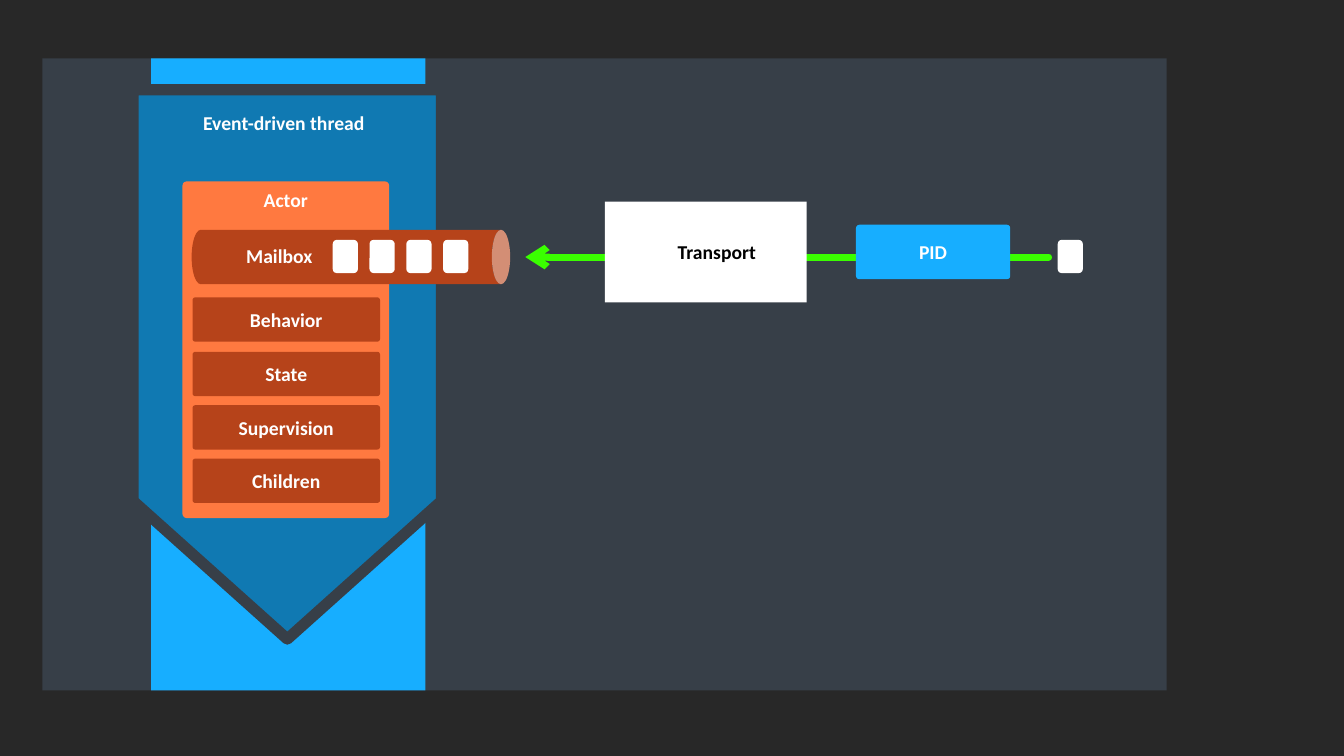
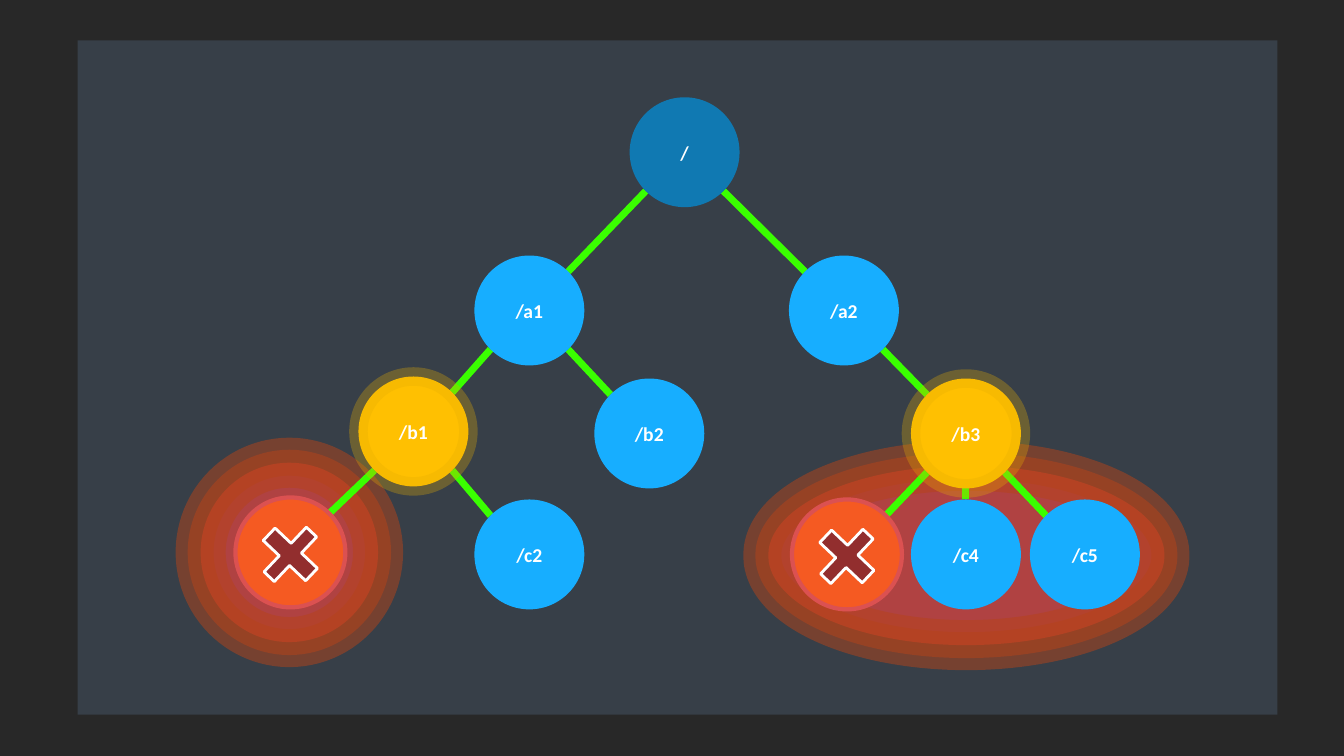
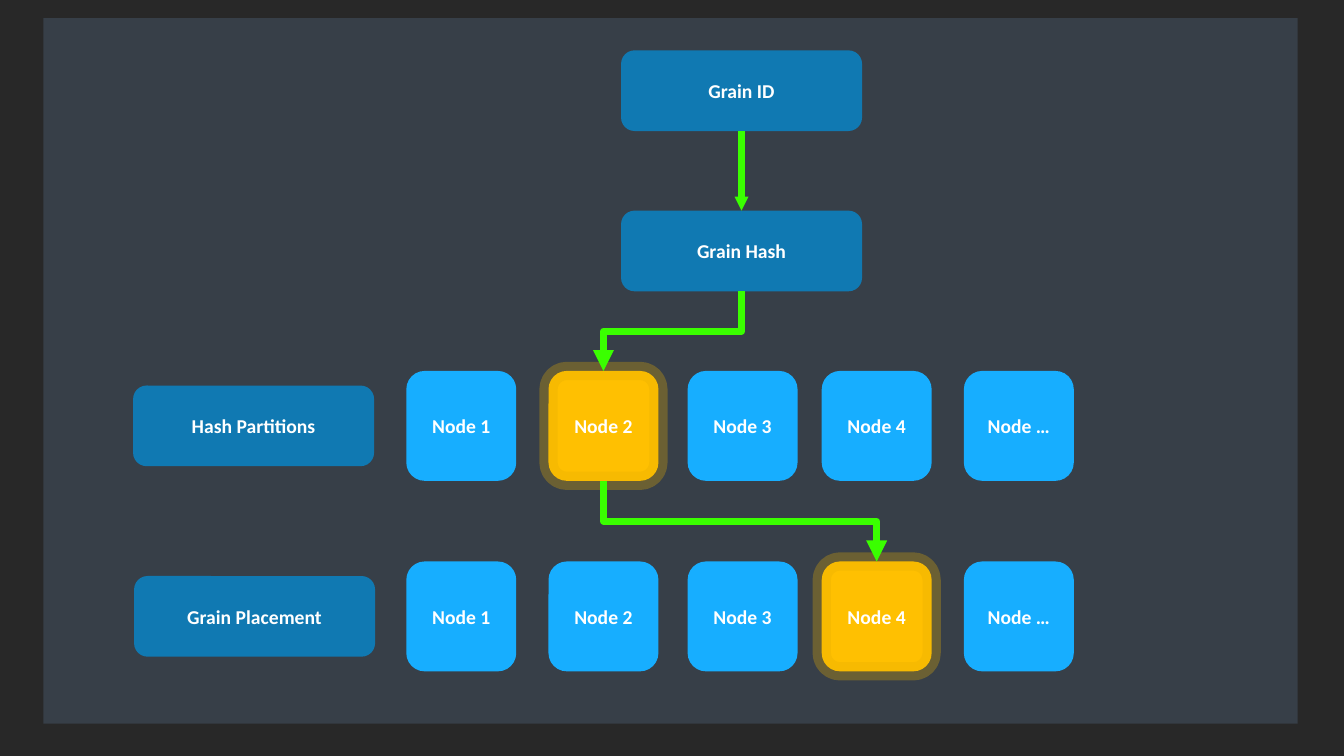
import pptx
import pptx.util
import pptx.dml.color
import pptx.enum.shapes
import pptx.enum.text
import pptx.oxml
import pptx.oxml.ns

KIND = pptx.enum.shapes.MSO_SHAPE
LINK = pptx.enum.shapes.MSO_CONNECTOR
SIDE = pptx.enum.text.PP_ALIGN
ANCHOR = pptx.enum.text.MSO_ANCHOR

# Shared look
FONT, SIZE = "Calibri", 14
BACK, PANEL = "282828", "373F48"
SKY, BLUE, GREEN, WHITE, BLACK = "17AEFF", "1079B2", "3AFF00", "FFFFFF", "000000"
CORAL, RUST, GOLD, AMBER = "FF7940", "B6431A", "FFC001", "E5AD03"
WINE, FIRE, ROSE, BLOOD = "B04242", "F55A22", "DB5151", "922E2E"

# Actor slide: label, top
PARTS = [("Behavior", 2.95), ("State", 3.49), ("Supervision", 4.02), ("Children", 4.55)]
MAIL_X, MAIL_STEP, MAIL_COUNT = 3.3, 0.365, 4
CLOUD = [
    (7.2, 1.89), (7.4, 1.89, 7.57, 2.06, 7.57, 2.26), (7.56, 2.29), (7.58, 2.28),
    (7.61, 2.27, 7.65, 2.26, 7.68, 2.26), (7.84, 2.26, 7.96, 2.39, 7.96, 2.54),
    (7.96, 2.69, 7.84, 2.81, 7.68, 2.81), (6.53, 2.81),
    (6.41, 2.81, 6.31, 2.72, 6.31, 2.6), (6.31, 2.49, 6.38, 2.41, 6.48, 2.39),
    (6.51, 2.38), (6.53, 2.29), (6.57, 2.21, 6.65, 2.14, 6.75, 2.14),
    (6.77, 2.14, 6.78, 2.15, 6.8, 2.15), (6.85, 2.16), (6.86, 2.12),
    (6.92, 1.99, 7.05, 1.89, 7.2, 1.89),
]

# Tree slide: centre of each node, its state, and its parent
BALL, DIAG = 1.09, 0.385
TREE = {
    "/": (6.79, 1.51, "root", None),
    "/a1": (5.25, 3.08, "live", "/"), "/a2": (8.37, 3.08, "live", "/"),
    "/b1": (4.1, 4.28, "warn", "/a1"), "/b2": (6.44, 4.3, "live", "/a1"),
    "/b3": (9.58, 4.3, "warn", "/a2"),
    "/c1": (2.88, 5.48, "fail", "/b1"), "/c2": (5.25, 5.5, "live", "/b1"),
    "/c3": (8.4, 5.5, "fail", "/b3"), "/c4": (9.58, 5.5, "live", "/b3"),
    "/c5": (10.76, 5.5, "live", "/b3"),
}
BLAST = [(7.62, 4.62, 3.93, 1.78), (1.99, 4.59, 1.76, 1.78)]
FILLS = {"root": BLUE, "live": SKY, "warn": GOLD}

# Grain slide
NODES = ["Node 1", "Node 2", "Node 3", "Node 4", "Node …"]
COLS = [4.03, 5.44, 6.82, 8.15, 9.56]
ROWS = [("Hash Partitions", 1.32, 3.68, "Node 2"),
        ("Grain Placement", 1.33, 5.57, "Node 4")]
STEPS = [("Grain ID", 0.5), ("Grain Hash", 2.09)]
STEP_X, STEP_W, STEP_H, TILE = 6.16, 2.39, 0.8, 1.09

inch, point = pptx.util.Inches, pptx.util.Pt


def tint(fmt, color, alpha=100):
    """Make a fill solid in a hex colour, with an opacity in percent."""
    fmt.solid()
    fmt.fore_color.rgb = pptx.dml.color.RGBColor.from_string(color)
    if alpha < 100:
        node = fmt._xPr.find(".//" + pptx.oxml.ns.qn("a:srgbClr"))
        node.append(pptx.oxml.parse_xml(
            f'<a:alpha {pptx.oxml.ns.nsdecls("a")} val="{alpha * 1000}"/>'))


def paint(item, fill, line=None):
    """Set fill and line (colour, width, opacity) and drop the shadow."""
    item.shadow.inherit = False
    if fill:
        tint(item.fill, fill)
    else:
        item.fill.background()
    if line:
        color, width, *alpha = line
        tint(item.line.fill, color, *alpha)
        item.line.width = point(width)
    else:
        item.line.fill.background()


def write(item, text, color=WHITE, anchor=ANCHOR.MIDDLE, wrap=True):
    """Write one bold label into a shape."""
    frame = item.text_frame
    frame.text = text
    frame.word_wrap = wrap
    frame.vertical_anchor = anchor
    para = frame.paragraphs[0]
    para.alignment = SIDE.CENTER
    font = para.runs[0].font
    font.name, font.size, font.bold = FONT, point(SIZE), True
    tint(font.fill, color)


def shape(page, kind, box, fill, line=None, adj=(), text=None, **style):
    """Add a preset shape, with a label if one is given."""
    item = page.shapes.add_shape(kind, *map(inch, box))
    for pos, value in enumerate(adj):
        item.adjustments[pos] = value
    paint(item, fill, line)
    if text:
        write(item, text, **style)
    return item


def label(page, box, text, **style):
    """Add a text box."""
    write(page.shapes.add_textbox(*map(inch, box)), text, **style)


def finish(wire, head=None, size="med", cap="flat"):
    """Give a connector the green stroke, its cap and its arrowhead."""
    tint(wire.line.fill, GREEN)
    wire.line.width = point(5)
    wire.line._get_or_add_ln().set("cap", cap)
    space = pptx.oxml.ns.nsdecls("a")
    if head:
        wire.line._get_or_add_ln().append(pptx.oxml.parse_xml(
            f'<a:tailEnd {space} type="{head}" w="{size}" len="{size}"/>'))
    wire._element.spPr.append(pptx.oxml.parse_xml(f"<a:effectLst {space}/>"))


def link(page, start, end, **style):
    """Join two points by a straight line."""
    wire = page.shapes.add_connector(LINK.STRAIGHT, *map(inch, start + end))
    finish(wire, **style)


def bend(page, start, end, **style):
    """Join two points by an elbow that leaves and arrives vertically."""
    (x1, y1), (x2, y2) = start, end
    mid_x, mid_y = (x1 + x2) / 2, (y1 + y2) / 2
    half_w, half_h = (y2 - y1) / 2, abs(x2 - x1) / 2
    flip = -1 if x2 > x1 else 1
    wire = page.shapes.add_connector(
        LINK.ELBOW, inch(mid_x - flip * half_w), inch(mid_y - half_h),
        inch(mid_x + flip * half_w), inch(mid_y + half_h))
    turn = 270 if x2 > x1 else 90
    wire._element.spPr.find(pptx.oxml.ns.qn("a:xfrm")).set("rot", str(turn * 60000))
    finish(wire, **style)


def trace(steps, count=12):
    """Turn line and cubic curve steps into a list of points."""
    spots = [steps[0]]
    for step in steps[1:]:
        if len(step) == 2:
            spots.append(step)
            continue
        pins = [spots[-1], step[:2], step[2:4], step[4:]]
        for part in range(1, count + 1):
            t = part / count
            share = ((1 - t) ** 3, 3 * t * (1 - t) ** 2, 3 * t * t * (1 - t), t ** 3)
            spots.append(tuple(sum(s * pin[axis] for s, pin in zip(share, pins))
                               for axis in (0, 1)))
    return spots


def start_page(deck, panel):
    """Add a blank slide with its slate panel."""
    page = deck.slides.add_slide(deck.slide_layouts[6])
    shape(page, KIND.RECTANGLE, panel, PANEL)
    return page


def draw_actor(deck):
    """Draw the actor, its mailbox and the path of a message."""
    page = start_page(deck, (0.42, 0.58, 11.15, 6.27))
    shape(page, KIND.RECTANGLE, (1.5, 0.58, 2.72, 6.27), SKY)
    shape(page, KIND.DOWN_ARROW, (1.32, 0.89, 3.06, 5.45), BLUE, (PANEL, 8), (1, 0.448))
    label(page, (1.91, 1.05, 1.81, 0.33), "Event-driven thread",
          anchor=ANCHOR.TOP, wrap=False)
    link(page, (10.4, 2.55), (5.21, 2.55), head="arrow", cap="rnd")
    bar = KIND.ROUNDED_RECTANGLE
    shape(page, bar, (8.49, 2.23, 1.53, 0.54), SKY, adj=[0.062], text="PID")
    shape(page, bar, (1.81, 1.8, 2.05, 3.34), CORAL, adj=[0.02], text="Actor",
          anchor=ANCHOR.TOP)
    for name, top in PARTS:
        shape(page, bar, (1.91, top, 1.86, 0.44), RUST, adj=[0.062], text=name)
    shape(page, KIND.CAN, (3.21, 0.97, 0.54, 3.16), RUST, adj=[0.337]).rotation = 90
    label(page, (2.13, 2.42, 1.28, 0.24), "Mailbox")
    slots = [MAIL_X + MAIL_STEP * pos for pos in range(MAIL_COUNT)]
    for left in slots + [10.49]:
        shape(page, bar, (left, 2.38, 0.25, 0.33), WHITE)
    spots = trace(CLOUD)
    pen = page.shapes.build_freeform(*spots[0], scale=inch(1))
    pen.add_line_segments(spots[1:], close=True)
    paint(pen.convert_to_shape(), WHITE)
    shape(page, KIND.RECTANGLE, (6.62, 2.33, 0.98, 0.34), WHITE, text="Transport",
          color=BLACK, anchor=ANCHOR.TOP, wrap=False)


def draw_tree(deck):
    """Draw the supervision tree with its failed nodes."""
    page = start_page(deck, (0.77, 0.4, 11.9, 6.69))
    for box in BLAST:
        shape(page, KIND.OVAL, box, WINE, (RUST, 18.5, 50))
        shape(page, KIND.OVAL, box, None, (RUST, 35.75, 50))
    for x, y, _, above in TREE.values():
        if above:
            top_x, top_y = TREE[above][:2]
            side = (x > top_x) - (x < top_x)
            drop = DIAG if side else BALL / 2
            link(page, (top_x + side * DIAG, top_y + drop), (x - side * DIAG, y - drop))
    for name, (x, y, state, _) in TREE.items():
        box = (x - BALL / 2, y - BALL / 2, BALL, BALL)
        if state == "fail":
            shape(page, KIND.OVAL, box, FIRE, (ROSE, 3))
            shape(page, KIND.CROSS, (x - 0.305, y - 0.27, 0.61, 0.58), BLOOD,
                  (WHITE, 2), [0.379]).rotation = 313.5
        else:
            halo = (AMBER, 13.25, 30) if state == "warn" else None
            shape(page, KIND.OVAL, box, FILLS[state], halo, text=name)


def draw_grain(deck):
    """Draw how a grain is hashed and placed on a node."""
    page = start_page(deck, (0.43, 0.18, 12.44, 7))
    card = KIND.ROUNDED_RECTANGLE
    for name, top in STEPS:
        shape(page, card, (STEP_X, top, STEP_W, STEP_H), BLUE, text=name)
    hits = []
    for title, left, top, chosen in ROWS:
        shape(page, card, (left, top + (TILE - STEP_H) / 2, STEP_W, STEP_H), BLUE,
              text=title)
        for name, x in zip(NODES, COLS):
            hot = name == chosen
            shape(page, card, (x, top, TILE, TILE), GOLD if hot else SKY,
                  (AMBER, 13, 30) if hot else None, text=name)
            if hot:
                hits.append((x + TILE / 2, top))
    mid = STEP_X + STEP_W / 2
    id_top, hash_top = (top for _, top in STEPS)
    link(page, (mid, id_top + STEP_H), (mid, hash_top), head="triangle", size="sm")
    first, last = hits
    bend(page, (mid, hash_top + STEP_H), first, head="triangle")
    bend(page, (first[0], first[1] + TILE), last, head="triangle")


deck = pptx.Presentation()
deck.slide_width, deck.slide_height = inch(13.33), inch(7.5)
tint(deck.slide_master.background.fill, BACK)
for draw in (draw_actor, draw_tree, draw_grain):
    draw(deck)
deck.save("out.pptx")
